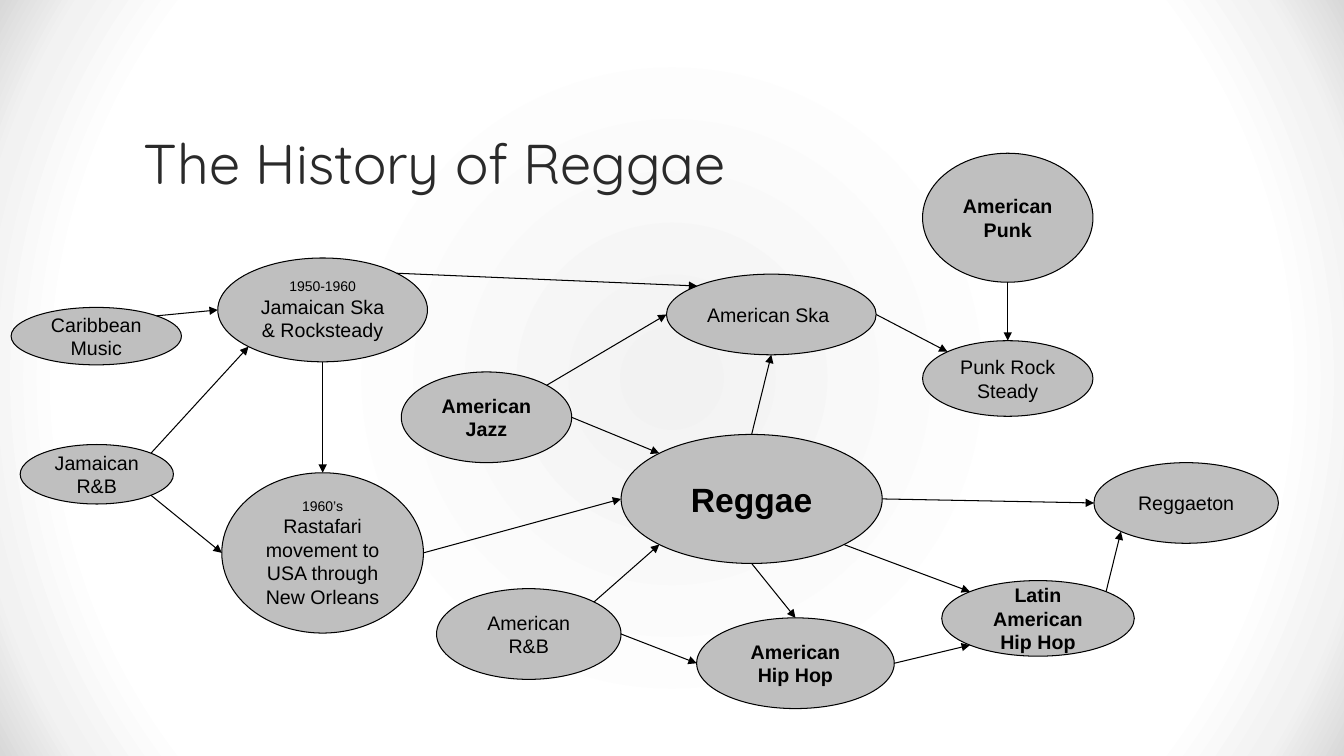
from math import cos, radians, sin

from lxml.etree import SubElement
from pptx import Presentation
from pptx.dml.color import RGBColor
from pptx.enum.shapes import MSO_CONNECTOR, MSO_SHAPE
from pptx.enum.text import MSO_ANCHOR, PP_ALIGN
from pptx.oxml import parse_xml
from pptx.oxml.ns import nsdecls, qn
from pptx.util import Inches, Pt

COLORS = {"bubble": "BFBFBF", "ink": "000000", "title": "2A2A2A"}
BACKGROUND_STOPS = [(0, "F2F2F2"), (47, "FFFFFF"), (79, "FFFFFF"), (91, "F2F2F2"), (100, "D8D8D8")]
COMPASS = {"E": 0, "SE": 45, "S": 90, "SW": 135, "W": 180, "NW": 225, "N": 270, "NE": 315}

BUBBLES = {
    "ska": (2.16, 2.56, 2.08, 1.03, [("1950-1960", 10), ("Jamaican Ska & Rocksteady", 14)], False),
    "rastafari": (2.2, 4.69, 2, 1.59,
                  [("1960’s", 10), ("Rastafari movement to USA through New Orleans", 14)], False),
    "jazz": (3.98, 3.69, 1.69, 0.9, [("American Jazz", 14)], True),
    "jamaican_rnb": (0.2, 4.41, 1.52, 0.59, [("Jamaican R&B", 14)], False),
    "american_rnb": (4.33, 5.84, 1.83, 0.9, [("American R&B", 14)], False),
    "reggae": (6.16, 4.31, 2.59, 1.28, [("Reggae", 24)], True),
    "punk": (9.15, 1.52, 1.69, 1.28, [("American Punk", 14)], True),
    "punk_steady": (9.15, 3.38, 1.69, 0.75, [("Punk Rock Steady", 14)], False),
    "american_ska": (6.61, 2.72, 2.08, 0.8, [("American Ska", 14)], False),
    "latin_hip_hop": (9.34, 5.76, 1.91, 0.75, [("Latin American Hip Hop", 14)], True),
    "reggaeton": (10.85, 4.59, 1.83, 0.8, [("Reggaeton", 14)], False),
    "hip_hop": (6.91, 6.13, 1.96, 0.9, [("American Hip Hop", 14)], True),
    "caribbean": (0.11, 3.05, 1.69, 0.57, [("Caribbean Music", 14)], False),
}

INFLUENCES = [
    ("jamaican_rnb", "NE", "ska", "SW"),
    ("jamaican_rnb", "SE", "rastafari", "W"),
    ("ska", "S", "rastafari", "N"),
    ("rastafari", "E", "reggae", "W"),
    ("jazz", "E", "reggae", "NW"),
    ("american_rnb", "NE", "reggae", "SW"),
    ("ska", "NE", "american_ska", "NW"),
    ("reggae", "N", "american_ska", "S"),
    ("american_ska", "E", "punk_steady", "NW"),
    ("punk", "S", "punk_steady", "N"),
    ("reggae", "E", "reggaeton", "W"),
    ("latin_hip_hop", "NE", "reggaeton", "SW"),
    ("american_rnb", "E", "hip_hop", "W"),
    ("reggae", "S", "hip_hop", "N"),
    ("hip_hop", "E", "latin_hip_hop", "SW"),
    ("reggae", "SE", "latin_hip_hop", "NW"),
    ("jazz", "NE", "american_ska", "W"),
    ("caribbean", "NE", "ska", "W"),
]


def rim_point(genre, direction):
    left, top, width, height = BUBBLES[genre][:4]
    angle = radians(COMPASS[direction])
    return Inches(left + width / 2 * (1 + cos(angle))), Inches(top + height / 2 * (1 + sin(angle)))


def write_line(paragraph, text, size, font, color, bold=False):
    run = paragraph.add_run()
    run.text = text
    formats = {"size": Pt(size), "name": font, "bold": bold}
    for attribute, value in formats.items():
        setattr(run.font, attribute, value)
    run.font.color.rgb = RGBColor.from_string(COLORS[color])


prs = Presentation()
prs.slide_width, prs.slide_height = Inches(13.33), Inches(7.5)
slide = prs.slides.add_slide(prs.slide_layouts[6])

stops = "".join(
    f'<a:gs pos="{position * 1000}"><a:srgbClr val="{color}"/></a:gs>'
    for position, color in BACKGROUND_STOPS
)
slide._element.cSld.insert(0, parse_xml(
    f'<p:bg {nsdecls("p", "a")}><p:bgPr><a:gradFill rotWithShape="1"><a:gsLst>{stops}</a:gsLst>'
    '<a:path path="circle"><a:fillToRect l="50000" t="50000" r="50000" b="50000"/></a:path>'
    '</a:gradFill><a:effectLst/></p:bgPr></p:bg>'
))

heading = slide.shapes.add_textbox(Inches(1.33), Inches(0.72), Inches(10.67), Inches(1.28)).text_frame
heading.word_wrap = True
heading.vertical_anchor = MSO_ANCHOR.BOTTOM
heading.paragraphs[0].line_spacing = 0.9
write_line(heading.paragraphs[0], "The History of Reggae", 40, "Quicksand", "title")

for genre, (left, top, width, height, lines, bold) in BUBBLES.items():
    bubble = slide.shapes.add_shape(
        MSO_SHAPE.OVAL, Inches(left), Inches(top), Inches(width), Inches(height))
    bubble.shadow.inherit = False
    bubble.fill.solid()
    bubble.fill.fore_color.rgb = RGBColor.from_string(COLORS["bubble"])
    bubble.line.color.rgb = RGBColor.from_string(COLORS["ink"])
    bubble.line.width = Pt(0.75)
    label = bubble.text_frame
    label.word_wrap = True
    label.vertical_anchor = MSO_ANCHOR.MIDDLE
    for side in ("left", "top", "right", "bottom"):
        setattr(label, f"margin_{side}", Inches(0.1))
    for index, (text, size) in enumerate(lines):
        paragraph = label.add_paragraph() if index else label.paragraphs[0]
        paragraph.alignment = PP_ALIGN.LEFT if genre == "american_ska" else PP_ALIGN.CENTER
        write_line(paragraph, text, size, "Arial", "ink", bold)

for source, exit_side, target, entry_side in INFLUENCES:
    arrow = slide.shapes.add_connector(
        MSO_CONNECTOR.STRAIGHT, *rim_point(source, exit_side), *rim_point(target, entry_side))
    arrow.line.color.rgb = RGBColor.from_string(COLORS["ink"])
    arrow.line.width = Pt(0.75)
    SubElement(arrow.line._get_or_add_ln(), qn("a:tailEnd"), type="triangle")
    SubElement(arrow._element.spPr, qn("a:effectLst"))

prs.save("out.pptx")
